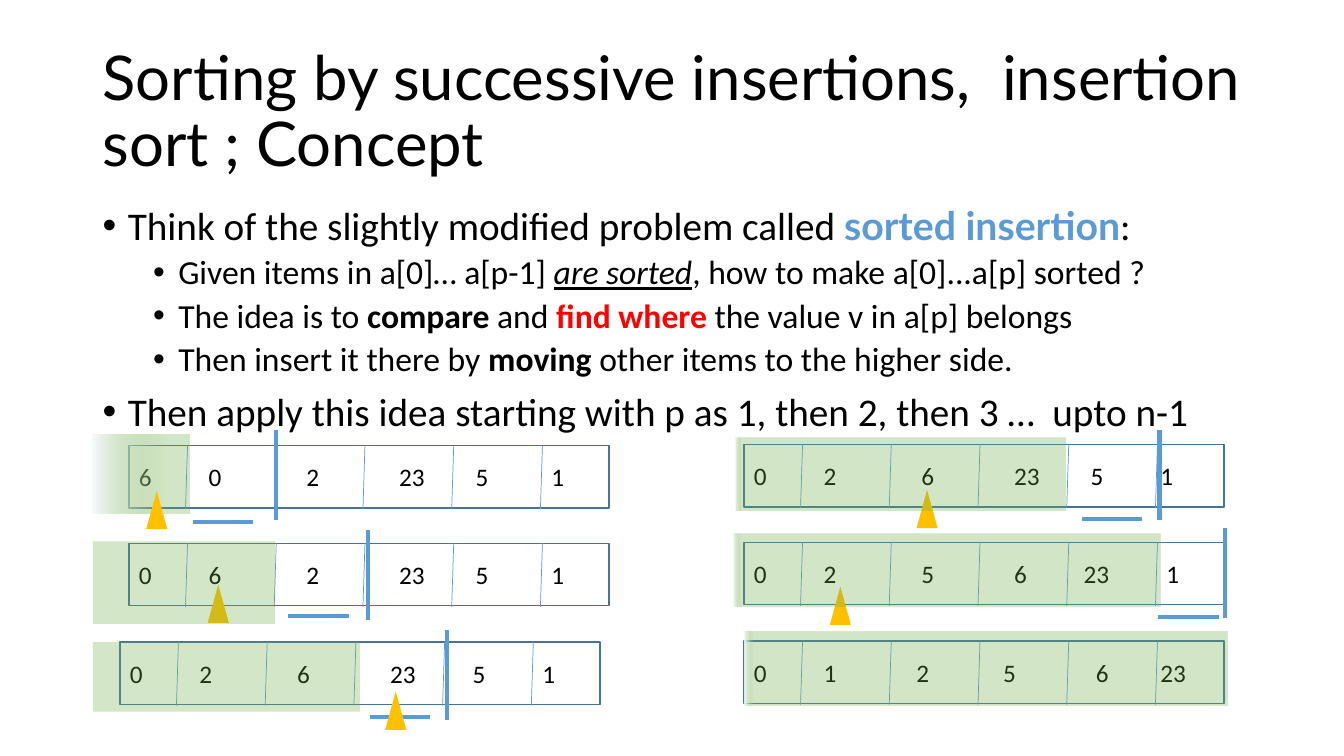
from pptx import Presentation
from pptx.dml.color import RGBColor
from pptx.enum import shapes, text
from pptx.oxml import parse_xml
from pptx.oxml.ns import nsdecls, qn
from pptx.util import Inches, Pt
from lxml import etree

BLUE, EDGE, GOLD, GREEN = "5B9BD5", "43739E", "FFC000", "70AD47"
TITLE = "Sorting by successive insertions,  insertion sort ; Concept"
BODY = [
    (0, [("Think of the slightly modified problem called ", ""), ("sorted insertion", "blue"), (":", "")]),
    (1, [("Given items in a[0]… a[p-1] ", ""), ("are sorted", "under"),
         (", how to make a[0]...a[p] sorted ?", "")]),
    (1, [("The idea is to ", ""), ("compare", "bold"), (" and ", ""), ("find where ", "red"),
         ("the value v in a[p] belongs", "")]),
    (1, [("Then insert it there by ", ""), ("moving", "bold"), (" other items to the higher side.", "")]),
    (0, [("Then apply this idea starting with p as 1, then 2, then 3 …  upto n-1", "")]),
]
LEVELS = [(28, 0.25, 10), (24, 0.75, 5)]
ARRAYS = [
    (1.28, 4.42, [6, 0, 2, 23, 5, 1], [0.69, 1.66, 2.58, 3.34, 4.09]),
    (1.28, 5.39, [0, 6, 2, 23, 5, 1], [0.69, 1.66, 2.58, 3.34, 4.09]),
    (1.19, 6.37, [0, 2, 6, 23, 5, 1], [0.69, 1.66, 2.58, 3.4, 4.09]),
    (7.38, 4.41, [0, 2, 6, 23, 5, 1], [0.69, 1.66, 2.58, 3.34, 4.03]),
    (7.38, 5.38, [0, 2, 5, 6, 23, 1], [0.69, 1.66, 2.58, 3.27, 4.09]),
    (7.38, 6.36, [0, 1, 2, 5, 6, 23], [0.69, 1.61, 2.47, 3.39, 4.03]),
]
MARKS = [(1.91, 5.18), (2.86, 6.11), (3.67, 7.11), (10.73, 5.15), (11.49, 6.12)]
HEADS = [(1.45, 4.87), (2.06, 5.8), (3.82, 6.86), (9.09, 4.86), (8.23, 5.82)]
BARS = [(2.74, 4.27), (3.65, 5.26), (4.43, 6.25), (11.5, 4.27), (12.15, 5.24)]
SORTED = [
    (0.92, 4.31, 0.96, 0.78, 76), (0.92, 5.37, 1.81, 0.82, 0), (0.92, 6.37, 2.65, 0.69, 0),
    (7.3, 4.34, 3.27, 0.73, 2), (7.28, 5.29, 4.23, 0.73, 2), (7.38, 6.27, 4.8, 0.73, 2),
]
WIDE, HIGH, FIRST, STEP, SLANT = 4.76, 0.62, 0.58, 0.88, 0.02

deck = Presentation()
deck.slide_width, deck.slide_height = Inches(13.33), Inches(7.5)
slide = deck.slides.add_slide(deck.slide_layouts[6])


def paint(hue):
    return RGBColor.from_string(hue)


def style(run, size, face="Calibri", hue="000000"):
    run.font.size, run.font.name = Pt(size), face
    run.font.color.rgb = paint(hue)


def frame(left, top, wide, high):
    box = slide.shapes.add_textbox(*map(Inches, (left, top, wide, high))).text_frame
    box.word_wrap = True
    return box


def line(x1, y1, x2, y2, width):
    link = slide.shapes.add_connector(shapes.MSO_CONNECTOR.STRAIGHT, *map(Inches, (x1, y1, x2, y2)))
    link.line.color.rgb, link.line.width = paint(BLUE), Pt(width)
    etree.SubElement(link._element.spPr, qn("a:effectLst"))


def block(kind, left, top, wide, high):
    item = slide.shapes.add_shape(kind, *map(Inches, (left, top, wide, high)))
    item.shadow.inherit = False
    item.line.fill.background()
    return item


def shade(left, top, wide, high, stop):
    item = block(shapes.MSO_SHAPE.RECTANGLE, left, top, wide, high)
    item.fill.solid()
    item.fill.fore_color.rgb = paint(GREEN)
    solid = item._element.spPr.find(qn("a:solidFill"))
    tint = f'<a:srgbClr val="{GREEN}"><a:alpha val="30000"/></a:srgbClr>'
    if stop:
        fill = (f'<a:gradFill {nsdecls("a")}><a:gsLst><a:gs pos="0"><a:srgbClr val="F7FAFD"/></a:gs>'
                f'<a:gs pos="{stop * 1000}">{tint}</a:gs></a:gsLst><a:lin ang="0" scaled="0"/></a:gradFill>')
    else:
        fill = f'<a:solidFill {nsdecls("a")}>{tint}</a:solidFill>'
    solid.getparent().replace(solid, parse_xml(fill))


def array(left, top, values, tabs):
    item = block(shapes.MSO_SHAPE.RECTANGLE, left, top, WIDE, HIGH)
    item.fill.background()
    item.line.color.rgb, item.line.width = paint(EDGE), Pt(1)
    item.text_frame.vertical_anchor = text.MSO_ANCHOR.MIDDLE
    para = item.text_frame.paragraphs[0]
    para.text = "\t".join(map(str, values))
    para.alignment = text.PP_ALIGN.LEFT
    stops = etree.SubElement(para._p.get_or_add_pPr(), qn("a:tabLst"))
    for tab in tabs:
        etree.SubElement(stops, qn("a:tab"), pos=str(Inches(tab)), algn="l")
    for run in para.runs:
        style(run, 18)
    for i in range(len(values) - 1):
        x = left + FIRST + i * STEP
        line(x, top, x - SLANT, top + 0.63, 0.5)


head = frame(0.92, 0.4, 11.5, 1.45)
head.vertical_anchor = text.MSO_ANCHOR.MIDDLE
head.text = TITLE
head.paragraphs[0].line_spacing = 0.9
style(head.paragraphs[0].runs[0], 44, "Lato")

body = frame(0.92, 2, 11.5, 2.64)
for i, (level, parts) in enumerate(BODY):
    para = body.add_paragraph() if i else body.paragraphs[0]
    size, indent, gap = LEVELS[level]
    para.level, para.line_spacing, para.space_before = level, 0.9, Pt(gap)
    props = para._p.get_or_add_pPr()
    props.set("marL", str(Inches(indent)))
    props.set("indent", str(Inches(-0.25)))
    etree.SubElement(props, qn("a:buFont"), typeface="Arial")
    etree.SubElement(props, qn("a:buChar"), char="•")
    for words, look in parts:
        run = para.add_run()
        run.text = words
        style(run, size, "Lato" if look == "blue" else "Calibri",
              {"blue": BLUE, "red": "FF0000"}.get(look, "000000"))
        run.font.bold = look in ("blue", "red", "bold")
        run.font.italic = run.font.underline = look == "under"

for row in ARRAYS:
    array(*row)
shade(*SORTED[0])
for x, y in MARKS:
    line(x, y, x + 0.6, y, 3)
for x, y in HEADS:
    item = block(shapes.MSO_SHAPE.ISOSCELES_TRIANGLE, x, y, 0.21, 0.38)
    item.fill.solid()
    item.fill.fore_color.rgb = paint(GOLD)
for x, y in BARS:
    line(x, y, x, y + 0.89, 3)
for area in SORTED[1:]:
    shade(*area)

deck.save("out.pptx")
